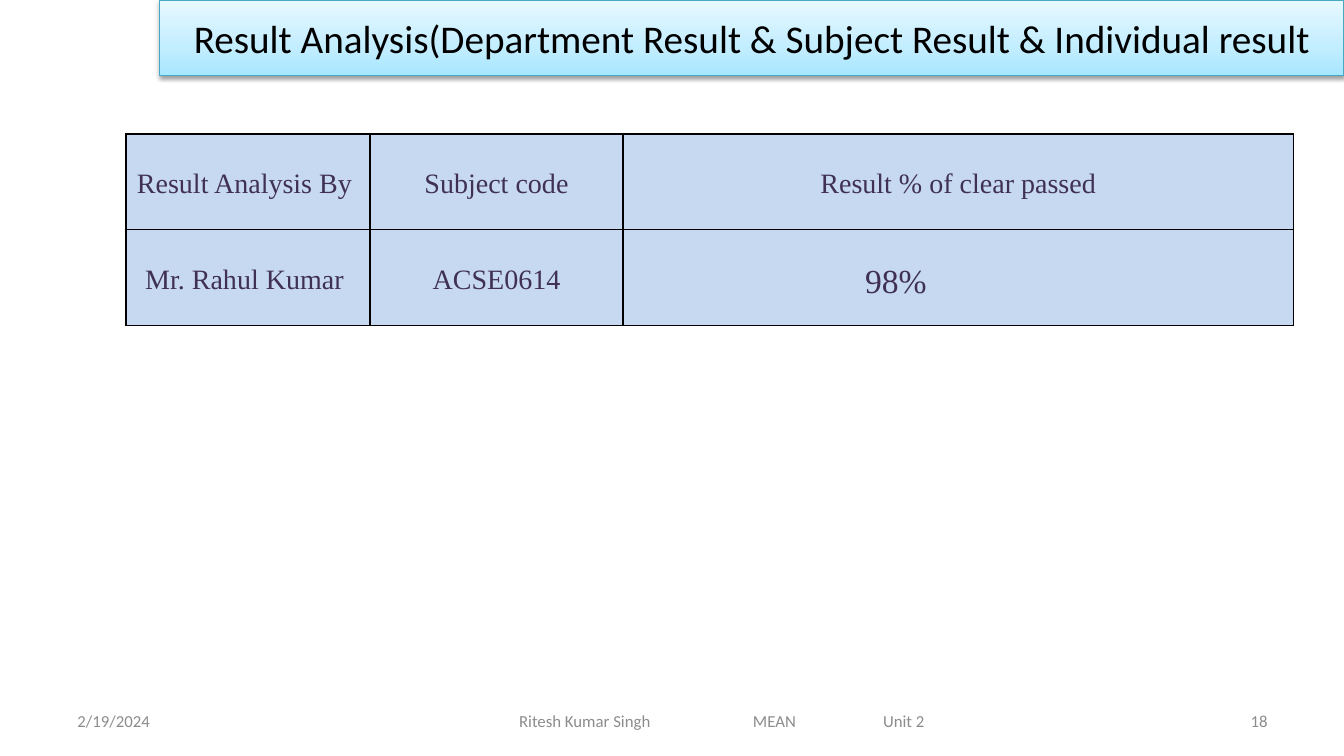
from lxml import etree
from pptx import Presentation
from pptx.dml.color import RGBColor
from pptx.enum.text import MSO_ANCHOR, MSO_AUTO_SIZE, PP_ALIGN
from pptx.oxml import parse_xml
from pptx.oxml.ns import nsdecls, qn
from pptx.util import Inches, Pt

LEFT, CENTER, RIGHT = PP_ALIGN.LEFT, PP_ALIGN.CENTER, PP_ALIGN.RIGHT
MIDDLE = MSO_ANCHOR.MIDDLE

TITLE = "Result Analysis(Department Result & Subject Result & Individual result"
ROWS = [
    ("Result Analysis By ", "Subject code", "Result % of clear passed"),
    ("Mr. Rahul Kumar ", "ACSE0614", "98%"),
]
WIDTHS = (2.42, 2.51, 6.65)
ROW_H = 0.95
SCORE_PAD = 2.4
# text, left, width, alignment, tab stops
FOOTER = [
    ("2/19/2024", 0.67, 3.11, LEFT, ()),
    ("\tRitesh Kumar Singh\tMEAN\tUnit 2", 4.42, 5.5, LEFT, (0.63, 2.95, 4.24)),
    ("18", 9.56, 3.11, RIGHT, ()),
]
COLORS = {"title": "000000", "edge": "46AAC5", "cell": "C6D9F1",
          "ink": "403152", "border": "000000", "foot": "8C8C8C"}
STOPS = ((0, "A7E6FF"), (35, "C1EDFF"), (100, "E7F8FF"))


def rgb(name):
    return RGBColor.from_string(COLORS[name])


def write(frame, text, size, color, font="Calibri", align=CENTER, space=None, tabs=()):
    para = frame.paragraphs[0]
    para.text = text
    para.alignment = align
    if space:
        para.line_spacing = space
    if tabs:
        stops = etree.SubElement(para._p.get_or_add_pPr(), qn("a:tabLst"))
        for pos in tabs:
            etree.SubElement(stops, qn("a:tab"), pos=str(Inches(pos)), algn="l")
    face = para.runs[0].font
    face.name, face.size = font, Pt(size)
    face.color.rgb = rgb(color)


def place(shape, left, top, width, height):
    shape.left, shape.top = Inches(left), Inches(top)
    shape.width, shape.height = Inches(width), Inches(height)


def add_title(slide):
    bar = slide.shapes.title
    place(bar, 1.58, 0, 11.75, 0.75)
    stops = "".join(f'<a:gs pos="{pos * 1000}"><a:srgbClr val="{tone}"/></a:gs>'
                    for pos, tone in STOPS)
    props = bar._element.spPr
    props.append(parse_xml(f'<a:gradFill {nsdecls("a")} rotWithShape="1"><a:gsLst>{stops}'
                           '</a:gsLst><a:lin ang="16200000" scaled="0"/></a:gradFill>'))
    bar.line.color.rgb = rgb("edge")
    bar.line.width = Pt(0.75)
    props.append(parse_xml(
        f'<a:effectLst {nsdecls("a")}><a:outerShdw blurRad="{Pt(3.1)}" dist="{Pt(1.6)}" '
        'dir="5400000" rotWithShape="0"><a:srgbClr val="000000"><a:alpha val="38000"/>'
        '</a:srgbClr></a:outerShdw></a:effectLst>'))
    frame = bar.text_frame
    frame.auto_size = MSO_AUTO_SIZE.NONE
    frame.vertical_anchor = MIDDLE
    write(frame, TITLE, 28, "title")


def add_borders(cell):
    props = cell._tc.get_or_add_tcPr()
    for spot, side in enumerate(("lnL", "lnR", "lnT", "lnB")):
        props.insert(spot, parse_xml(
            f'<a:{side} {nsdecls("a")} w="{Pt(1)}"><a:solidFill>'
            f'<a:srgbClr val="{COLORS["border"]}"/></a:solidFill></a:{side}>'))


def add_results(slide):
    table = slide.shapes.add_table(
        len(ROWS), len(WIDTHS), Inches(1.25), Inches(1.33),
        Inches(sum(WIDTHS)), Inches(ROW_H * len(ROWS))).table
    for col, width in zip(table.columns, WIDTHS):
        col.width = Inches(width)
    for r, row in enumerate(ROWS):
        table.rows[r].height = Inches(ROW_H)
        for c, text in enumerate(row):
            cell = table.cell(r, c)
            score = text == "98%"
            cell.fill.solid()
            cell.fill.fore_color.rgb = rgb("cell")
            add_borders(cell)
            cell.vertical_anchor = MIDDLE
            cell.margin_left = Inches(SCORE_PAD if score else 0.07)
            cell.margin_right = Inches(0.07)
            cell.margin_top = Inches(0.08 if score else 0)
            cell.margin_bottom = 0
            write(cell.text_frame, text, 24 if score else 20, "ink", "Times New Roman",
                  LEFT if score else CENTER, None if score else 1.15)


def add_footer(slide):
    for text, left, width, align, tabs in FOOTER:
        box = slide.shapes.add_textbox(Inches(left), Inches(6.95), Inches(width), Inches(0.4))
        frame = box.text_frame
        frame.word_wrap = True
        frame.vertical_anchor = MIDDLE
        write(frame, text, 12, "foot", align=align, tabs=tabs)


def main():
    deck = Presentation()
    deck.slide_width, deck.slide_height = Inches(13.33), Inches(7.5)
    slide = deck.slides.add_slide(deck.slide_layouts[5])
    add_footer(slide)
    add_title(slide)
    add_results(slide)
    deck.save("out.pptx")


if __name__ == "__main__":
    main()
